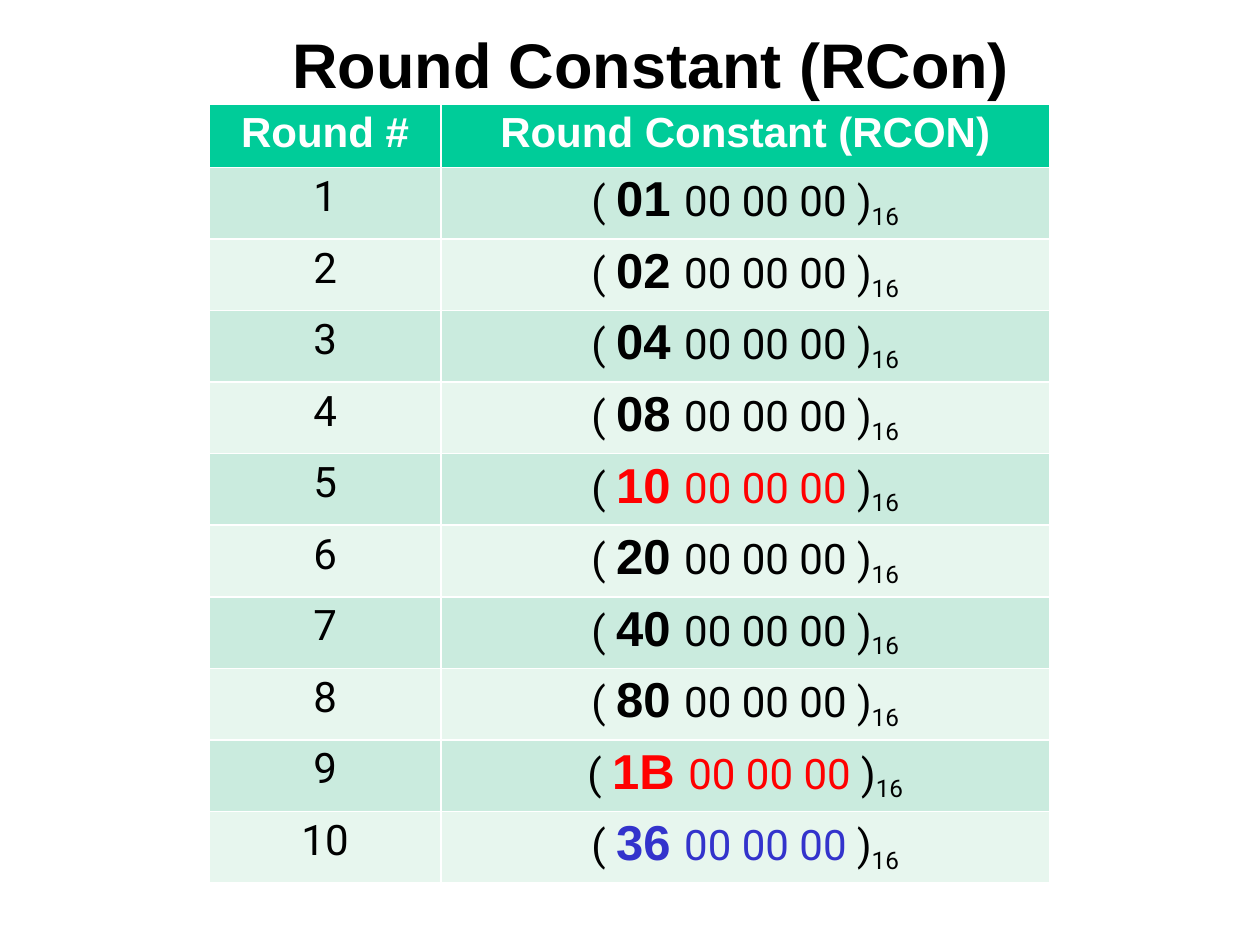
"""Build a slide with the table of round constants."""
from pptx import Presentation
from pptx.dml.color import RGBColor
from pptx.enum.text import MSO_ANCHOR, PP_ALIGN
from pptx.util import Inches, Pt

LOW = MSO_ANCHOR.BOTTOM
MID = PP_ALIGN.CENTER
BLACK, WHITE, RED, BLUE = "000000", "FFFFFF", "FF0000", "3333CC"
GREEN, BANDS = "00CC99", ("CAEBDE", "E7F6EE")
CODES = ["01", "02", "04", "08", "10", "20", "40", "80", "1B", "36"]
TINTS = {"10": RED, "1B": RED, "36": BLUE}
HEAD, ROW = 0.5, 0.568
COLS = (1.84, 4.83)


def tint(code):
    return RGBColor.from_string(code)


def write(line, text, size=24, face="Roboto", color=BLACK, bold=False, base=0):
    run = line.add_run()
    run.text = text
    font = run.font
    font.size, font.name, font.bold = Pt(size), face, bold
    font.color.rgb = tint(color)
    if base:
        run._r.get_or_add_rPr().set("baseline", str(base * 1000))


deck = Presentation()
deck.slide_width, deck.slide_height = Inches(10), Inches(7.5)
slide = deck.slides.add_slide(deck.slide_layouts[6])

box = slide.shapes.add_textbox(Inches(2.32), Inches(0.17), Inches(5.71), Inches(0.63))
frame = box.text_frame
frame.word_wrap = True
frame.vertical_anchor = LOW
frame.margin_left = frame.margin_right = frame.margin_top = frame.margin_bottom = 0
write(frame.paragraphs[0], "Round Constant (RCon)", size=36, face="Arial", bold=True)

count = len(CODES) + 1
grid = slide.shapes.add_table(
    count, len(COLS), Inches(1.66), Inches(0.83),
    Inches(sum(COLS)), Inches(HEAD + ROW * len(CODES))).table
for col, width in zip(grid.columns, COLS):
    col.width = Inches(width)

for i in range(count):
    grid.rows[i].height = Inches(ROW if i else HEAD)
    for cell in grid.rows[i].cells:
        cell.fill.solid()
        cell.fill.fore_color.rgb = tint(BANDS[(i - 1) % 2] if i else GREEN)
        cell.margin_left = cell.margin_right = cell.margin_bottom = 0
        cell.margin_top = Inches(0.04)
        cell.text_frame.paragraphs[0].alignment = MID

left, right = [[cell.text_frame.paragraphs[0] for cell in
                (grid.cell(i, j) for i in range(count))] for j in range(2)]
for line, text in ((left[0], "Round #"), (right[0], "Round Constant (RCON)")):
    write(line, text, face="Arial", color=WHITE, bold=True)
for i, code in enumerate(CODES, 1):
    hue = TINTS.get(code, BLACK)
    write(left[i], str(i))
    write(right[i], "( ")
    write(right[i], code + " ", size=28, face="Arial", color=hue, bold=True)
    write(right[i], "00 00 00 ", color=hue)
    write(right[i], ")")
    write(right[i], "16", base=-21)

deck.save("out.pptx")
